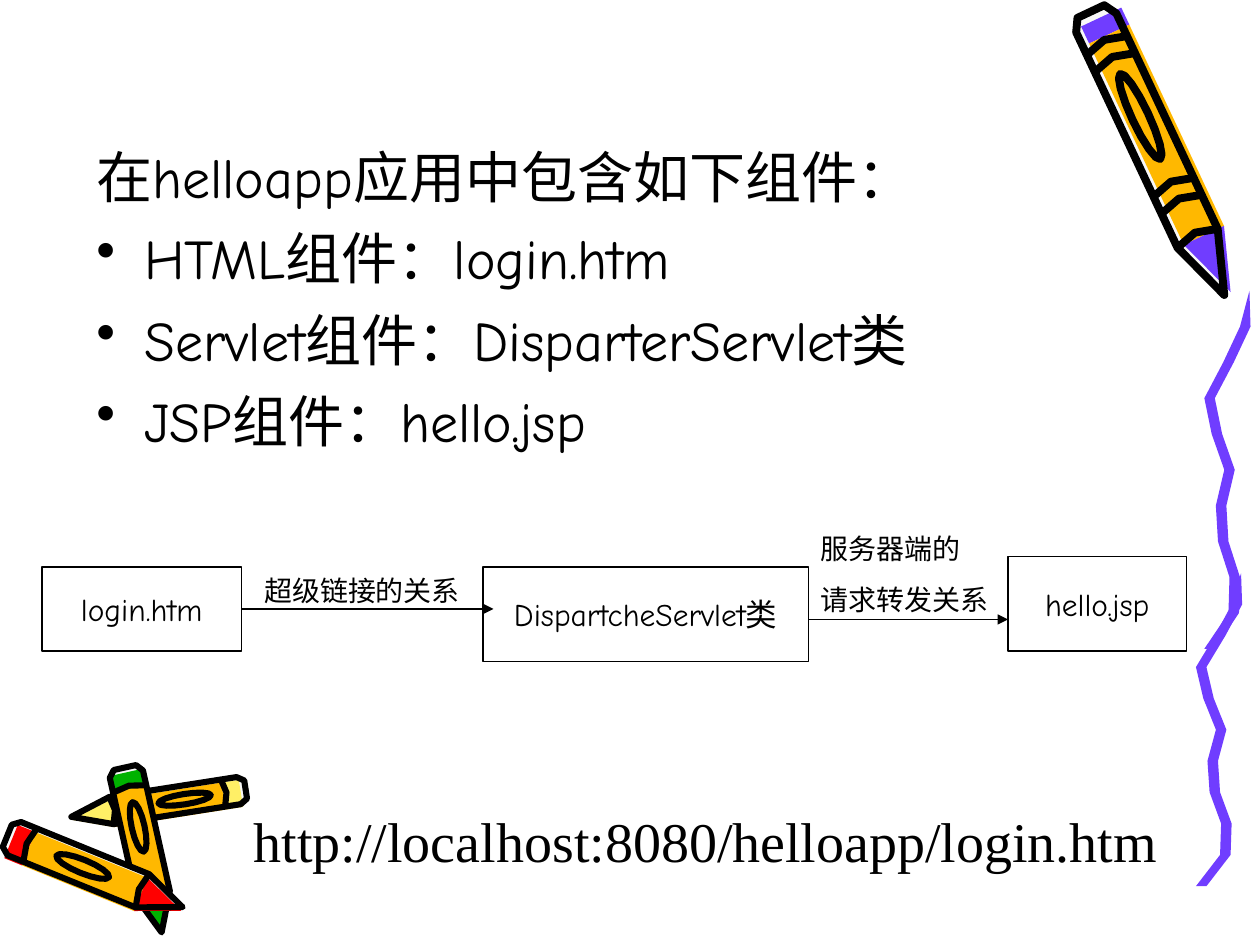
"""Build the helloapp component slide on a grid of 120 columns by 90 rows, with crayons drawn by one rule."""
from dataclasses import dataclass
from math import cos, hypot, pi, sin
from typing import NamedTuple, Optional

from lxml import etree
from pptx import Presentation, util as u
from pptx.dml.color import RGBColor
from pptx.enum import shapes, text
from pptx.oxml.ns import qn

WIDTH, HEIGHT = u.Inches(10), u.Inches(7.5)
CELL = WIDTH // 120
INDENT = u.Inches(0.38)


@dataclass(frozen=True)
class Theme:
    black: str = "000000"
    paper: str = "F8F8F8"
    violet: str = "703DFF"
    orange: str = "FFB800"
    yellow: str = "FFEF66"
    red: str = "FF0000"
    green: str = "00B200"
    comic: str = "Comic Neue"
    roman: str = "Times New Roman"
    large: int = 32
    box: int = 18
    label: int = 16
    thin: float = 0.75


class Point(NamedTuple):
    column: float
    row: float


class Area(NamedTuple):
    column: int
    row: int
    columns: int
    rows: int


class Box(NamedTuple):
    area: Area
    caption: str


class Label(NamedTuple):
    area: Area
    lines: tuple[str, ...]


class Arrow(NamedTuple):
    start: int
    end: int
    row: int


@dataclass(frozen=True)
class Crayon:
    """A crayon from butt to tip; bands, cap, taper and oval are shares of its length, offset of its width."""
    butt: Point
    tip: Point
    width: float
    colour: str
    ink: float = 3.5
    cap: float = 0.13
    taper: float = 0.77
    bands: tuple[float, ...] = (0.13, 0.77)
    oval: float = 0.4
    offset: float = 0

    def locate(self, along: float, across: float) -> Point:
        columns, rows = self.tip.column - self.butt.column, self.tip.row - self.butt.row
        side = across * self.width / hypot(columns, rows)
        return Point(self.butt.column + along * columns - side * rows,
                     self.butt.row + along * rows + side * columns)


class Ribbon(NamedTuple):
    left: float
    top: float
    rows: float


THEME = Theme()
CRAYONS = (
    Crayon(Point(103.9, 1.1), Point(116.6, 28.1), 4.7, THEME.violet, ink=4.5, cap=0.09, taper=0.8,
           bands=(0.12, 0.18, 0.62, 0.68, 0.8), oval=0.37, offset=-0.14),
    Crayon(Point(23.4, 75.2), Point(6.8, 77.8), 2.9, THEME.yellow, oval=0.35, offset=-0.1),
    Crayon(Point(11.9, 73.1), Point(15.4, 88.8), 3.6, THEME.green, oval=0.36),
    Crayon(Point(0.7, 79.6), Point(17.4, 86.4), 3.8, THEME.red, oval=0.43, offset=0.1),
)
RIBBONS = (Ribbon(114.4, 54.6, 29.8), Ribbon(115.2, 27.7, 34.1))
RIBBON_SWAY = (3.8, 3.4, 1.8, 0, 0.7, 1.9, 1.1, 1.3, 2.4, 2.3, 0)
RIBBON_HALF = 0.5

BODY = Label(Area(8, 13, 101, 34), (
    "在helloapp应用中包含如下组件：", "HTML组件：login.htm", "Servlet组件：DisparterServlet类", "JSP组件：hello.jsp"))
BOXES = (
    Box(Area(4, 54, 19, 8), "login.htm"),
    Box(Area(46, 54, 31, 9), "DispartcheServlet类"),
    Box(Area(96, 53, 17, 9), "hello.jsp"),
)
ARROWS = (Arrow(23, 47, 58), Arrow(77, 96, 59))
LABELS = (
    Label(Area(24, 54, 29, 4), ("超级链接的关系",)),
    Label(Area(77, 50, 19, 9), ("服务器端的", "请求转发关系")),
)
ADDRESS = Label(Area(23, 73, 93, 11), ("http://localhost:8080/helloapp/login.htm",))


def draw_outline(slide, points: list[Point], fill: Optional[str] = None, ink: float = 0, close: bool = True) -> None:
    corners = [(point.column * CELL, point.row * CELL) for point in points]
    builder = slide.shapes.build_freeform(*corners[0])
    builder.add_line_segments(corners[1:], close=close)
    finish(builder.convert_to_shape(), fill, ink)


def finish(shape, fill: Optional[str], ink: float) -> None:
    shape.shadow.inherit = False
    if fill:
        shape.fill.solid()
        shape.fill.fore_color.rgb = RGBColor.from_string(fill)
    else:
        shape.fill.background()
    if ink:
        shape.line.color.rgb = RGBColor.from_string(THEME.black)
        shape.line.width = u.Pt(ink)
    else:
        shape.line.fill.background()


def draw_crayon(slide, crayon: Crayon) -> None:
    def trace(*pairs: tuple[float, float], shift: float = 0) -> list[Point]:
        return [crayon.locate(along, across + shift) for along, across in pairs]

    taper, cap, half = crayon.taper, crayon.cap, 0.45
    silhouette = trace((0, -0.3), (0, 0.3), (0.04, half), (taper, half), (1, 0), (taper, -half), (0.04, -half))
    draw_outline(slide, silhouette, fill=THEME.paper)
    for start, end, colour in ((0.03, cap, crayon.colour), (cap, taper, THEME.orange)):
        sleeve = trace((start, -half), (start, half), (end, half), (end, -half), shift=crayon.offset)
        draw_outline(slide, sleeve, fill=colour)
    draw_outline(slide, trace((taper, -half), (taper, half), (1, 0), shift=crayon.offset), fill=crayon.colour)
    draw_outline(slide, silhouette, ink=crayon.ink)
    for band in crayon.bands:
        arch = trace((band, -half), (band - 0.02, 0), (band, half))
        draw_outline(slide, arch, ink=crayon.ink, close=False)
    turns = [step * pi / 8 for step in range(16)]
    oval = trace(*((crayon.oval + 0.15 * cos(turn), 0.17 * sin(turn)) for turn in turns))
    draw_outline(slide, oval, fill=THEME.orange, ink=crayon.ink)


def draw_ribbon(slide, ribbon: Ribbon) -> None:
    step = ribbon.rows / (len(RIBBON_SWAY) - 1)
    edges = {
        side: [Point(ribbon.left + sway + side * RIBBON_HALF * min(index, 1), ribbon.top + index * step)
               for index, sway in enumerate(RIBBON_SWAY)]
        for side in (-1, 1)
    }
    draw_outline(slide, edges[-1] + edges[1][::-1], fill=THEME.violet)


def place(area: Area) -> list[int]:
    return [cells * CELL for cells in area]


def write(paragraph, content: str, *, size: int, font: str = THEME.comic, before: int = 0,
          spacing: float = 1, align=text.PP_ALIGN.LEFT, hanging: bool = False, bullet: bool = False) -> None:
    paragraph.alignment, paragraph.line_spacing, paragraph.space_before = align, spacing, u.Pt(before)
    run = paragraph.add_run()
    run.text = content
    run.font.size, run.font.name = u.Pt(size), font
    run.font.color.rgb = RGBColor.from_string(THEME.black)
    properties = paragraph._p.get_or_add_pPr()
    if hanging:
        properties.set("marL", str(INDENT))
        properties.set("indent", str(-INDENT))
    if bullet:
        etree.SubElement(properties, qn("a:buChar"), char="•")


def draw_label(slide, label: Label, bullets: bool = False, **style) -> None:
    frame = slide.shapes.add_textbox(*place(label.area)).text_frame
    frame.word_wrap = True
    for index, line in enumerate(label.lines):
        paragraph = frame.add_paragraph() if index else frame.paragraphs[0]
        write(paragraph, line, hanging=bullets, bullet=bullets and index > 0, **style)


def draw_box(slide, box: Box) -> None:
    shape = slide.shapes.add_shape(shapes.MSO_SHAPE.RECTANGLE, *place(box.area))
    finish(shape, None, THEME.thin)
    shape.text_frame.word_wrap = False
    shape.text_frame.vertical_anchor = text.MSO_ANCHOR.MIDDLE
    write(shape.text_frame.paragraphs[0], box.caption, size=THEME.box, align=text.PP_ALIGN.CENTER)


def draw_arrow(slide, arrow: Arrow) -> None:
    ends = (cells * CELL for cells in (arrow.start, arrow.row, arrow.end, arrow.row))
    connector = slide.shapes.add_connector(shapes.MSO_CONNECTOR.STRAIGHT, *ends)
    connector.line.color.rgb = RGBColor.from_string(THEME.black)
    connector.line.width = u.Pt(THEME.thin)
    etree.SubElement(connector.line._get_or_add_ln(), qn("a:tailEnd"), type="triangle")
    etree.SubElement(connector._element.spPr, qn("a:effectLst"))


def main() -> None:
    presentation = Presentation()
    presentation.slide_width, presentation.slide_height = WIDTH, HEIGHT
    slide = presentation.slides.add_slide(presentation.slide_layouts[6])
    for draw, items in ((draw_crayon, CRAYONS), (draw_ribbon, RIBBONS), (draw_box, BOXES), (draw_arrow, ARROWS)):
        for item in items:
            draw(slide, item)
    draw_label(slide, BODY, bullets=True, size=THEME.large, before=8)
    for label in LABELS:
        draw_label(slide, label, size=THEME.label, before=10)
    draw_label(slide, ADDRESS, size=THEME.large, font=THEME.roman, before=8, spacing=1.5)
    presentation.save("out.pptx")


if __name__ == "__main__":
    main()
